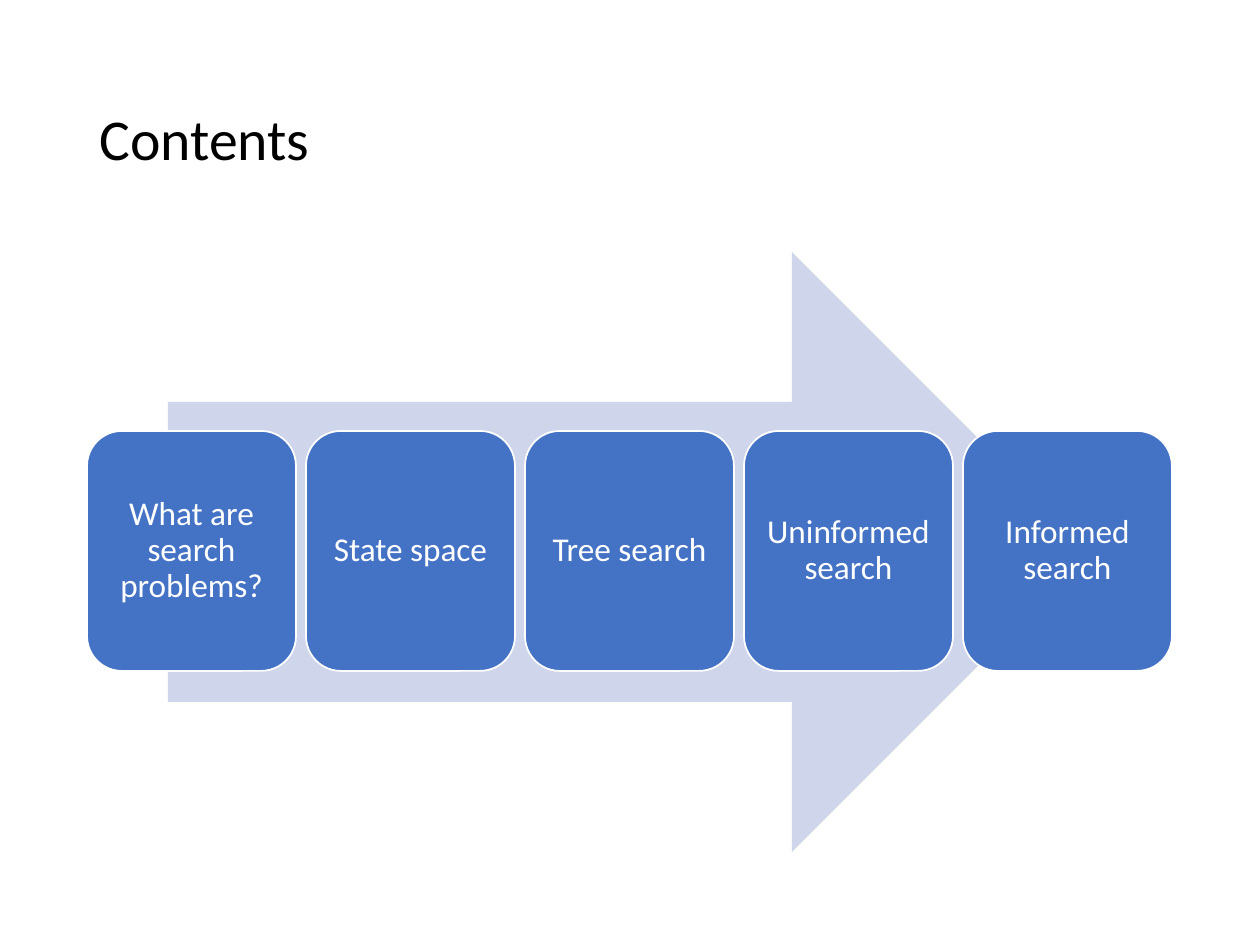
from pptx import Presentation
from pptx.dml.color import RGBColor
from pptx.enum.shapes import MSO_SHAPE as SHAPE
from pptx.enum.text import MSO_ANCHOR as ANCHOR, PP_ALIGN as ALIGN
from pptx.util import Pt

PX = 914400 // 126
COLORS = {"text": "000000", "arrow": "CFD5EA", "box": "4472C4", "white": "FFFFFF"}
TOPICS = ["What are search problems?", "State space", "Tree search",
          "Uninformed search", "Informed search"]
LEFT, PITCH, BOX_W, BOX_H = 87, 219, 209, 240


def rgb(name):
    return RGBColor.from_string(COLORS[name])


def set_text(tf, text, size, color, align):
    tf.text = text
    tf.word_wrap = True
    tf.vertical_anchor = ANCHOR.MIDDLE
    p = tf.paragraphs[0]
    p.alignment = align
    p.line_spacing = 0.9
    font = p.runs[0].font
    font.name = "Calibri"
    font.size = Pt(size)
    font.color.rgb = rgb(color)


prs = Presentation()
prs.slide_width = 1260 * PX
prs.slide_height = 945 * PX
s = prs.slides.add_slide(prs.slide_layouts[6])

title = s.shapes.add_textbox(LEFT * PX, 50 * PX, 1086 * PX, 183 * PX)
set_text(title.text_frame, "Contents", 33, "text", ALIGN.LEFT)

arrow = s.shapes.add_shape(SHAPE.RIGHT_ARROW, 168 * PX, 252 * PX, 924 * PX, 600 * PX)
arrow.shadow.inherit = False
arrow.fill.solid()
arrow.fill.fore_color.rgb = rgb("arrow")
arrow.line.fill.background()

for i, topic in enumerate(TOPICS):
    box = s.shapes.add_shape(SHAPE.ROUNDED_RECTANGLE, (LEFT + i * PITCH) * PX, 431 * PX,
                             BOX_W * PX, BOX_H * PX)
    box.shadow.inherit = False
    box.fill.solid()
    box.fill.fore_color.rgb = rgb("box")
    box.line.color.rgb = rgb("white")
    box.line.width = Pt(1)
    tf = box.text_frame
    tf.margin_left = tf.margin_right = tf.margin_top = tf.margin_bottom = 10 * PX
    set_text(tf, topic, 19, "white", ALIGN.CENTER)

prs.save("out.pptx")
